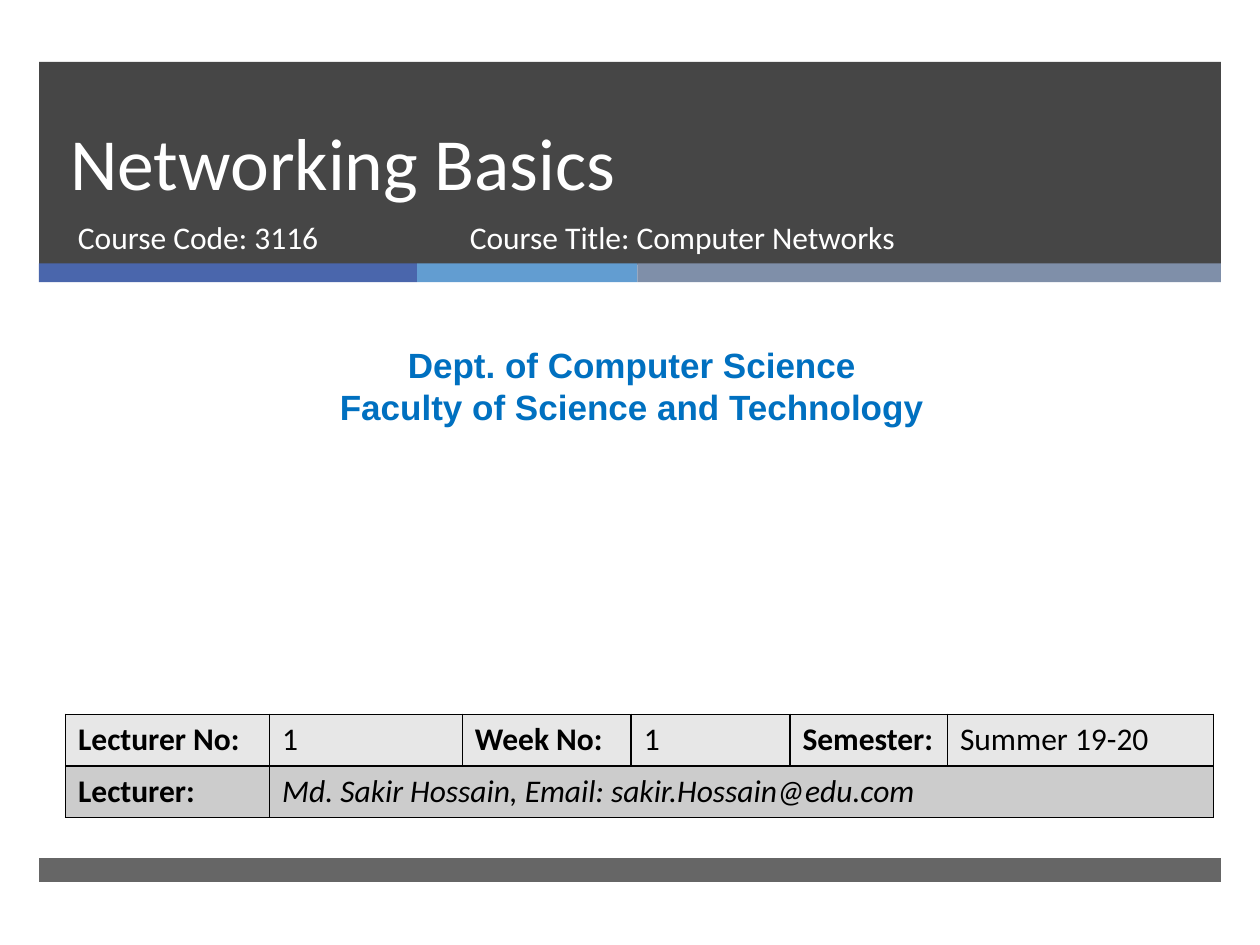
import pptx
import pptx.dml.color
import pptx.enum.shapes
import pptx.enum.text
import pptx.oxml
import pptx.oxml.ns
import pptx.util
from pptx.util import Inches

NS = pptx.oxml.ns.nsdecls("a")
ALIGN = pptx.enum.text.PP_ALIGN
ANCHOR = pptx.enum.text.MSO_ANCHOR
WHITE_TEXT = {"name": "Calibri", "size": pptx.util.Pt(18), "color": "FFFFFF"}
TITLE_TEXT = {**WHITE_TEXT, "size": pptx.util.Pt(42)}
DEPT_TEXT = {"name": "Arial", "size": pptx.util.Pt(20), "bold": True, "color": "0070C0"}
CELL_TEXT = {"name": "Calibri", "size": pptx.util.Pt(18), "color": "000000"}
LABEL_TEXT = {**CELL_TEXT, "bold": True}
LECTURER_TEXT = {**CELL_TEXT, "italic": True}


def set_color(target, color):
    """Give a fill or a font a solid colour from a hex string."""
    fill = getattr(target, "fill", target)
    fill.solid()
    fill.fore_color.rgb = pptx.dml.color.RGBColor.from_string(color)


def add_run(p, text, fmt):
    """Add a run of text with a dict of font values."""
    r = p.add_run()
    r.text = text
    for key, value in fmt.items():
        if key == "color":
            set_color(r.font, value)
        else:
            setattr(r.font, key, value)


def add_bar(s, left, top, width, height, color, opacity=100):
    """Add a plain rectangle, see-through when opacity is under 100."""
    sp = s.shapes.add_shape(pptx.enum.shapes.MSO_SHAPE.RECTANGLE, Inches(left),
                            Inches(top), Inches(width), Inches(height))
    sp.shadow.inherit = False
    sp.line.fill.background()
    set_color(sp, color)
    if opacity < 100:
        clr = sp.fill._xPr.find(".//" + pptx.oxml.ns.qn("a:srgbClr"))
        clr.append(pptx.oxml.parse_xml(f'<a:alpha {NS} val="{opacity * 1000}"/>'))


def add_text(s, box, lines, fmt, anchor=ANCHOR.TOP, **para):
    """Add a wrapped text box with one paragraph per line."""
    tf = s.shapes.add_textbox(*(Inches(v) for v in box)).text_frame
    for key, value in {"word_wrap": True, "vertical_anchor": anchor}.items():
        setattr(tf, key, value)
    for i, line in enumerate(lines):
        p = tf.add_paragraph() if i else tf.paragraphs[0]
        for key, value in para.items():
            setattr(p, key, value)
        add_run(p, line, fmt)


def add_borders(cell, color="000000", width=1):
    """Draw all four borders of a cell."""
    tc_pr = cell._tc.get_or_add_tcPr()
    for i, side in enumerate("LRTB"):
        tc_pr.insert(i, pptx.oxml.parse_xml(
            f'<a:ln{side} {NS} w="{pptx.util.Pt(width)}"><a:solidFill>'
            f'<a:srgbClr val="{color}"/></a:solidFill></a:ln{side}>'))


def add_table(s, left, top, widths, row_height, rows, fills):
    """Add a bordered table whose last short row is merged to the right edge."""
    table = s.shapes.add_table(len(rows), len(widths), Inches(left), Inches(top),
                               Inches(sum(widths)), Inches(row_height * len(rows))).table
    for col, width in zip(table.columns, widths):
        col.width = Inches(width)
    for y, (row, fill) in enumerate(zip(rows, fills)):
        table.rows[y].height = Inches(row_height)
        for x in range(len(widths)):
            cell = table.cell(y, x)
            set_color(cell, fill)
            add_borders(cell)
        for x, (text, fmt) in enumerate(row):
            add_run(table.cell(y, x).text_frame.paragraphs[0], text, fmt)
        if len(row) < len(widths):
            table.cell(y, len(row) - 1).merge(table.cell(y, len(widths) - 1))


def main():
    """Build the title slide of the lecture."""
    prs = pptx.Presentation()
    prs.slide_width, prs.slide_height = Inches(10), Inches(7.5)
    s = prs.slides.add_slide(prs.slide_layouts[6])

    add_bar(s, 0.31, 0.49, 9.38, 1.61, "262626", 85)
    left = 0.31
    for width, color in ((3, "4A66AC"), (1.75, "629DD1"), (4.63, "7F8FA9")):
        add_bar(s, left, 2.09, width, 0.15, color)
        left += width
    add_bar(s, 0.31, 6.81, 9.38, 0.19, "262626", 70)

    add_text(s, (0.46, 0.49, 8.54, 1.19), ["Networking Basics"], TITLE_TEXT,
             ANCHOR.BOTTOM, line_spacing=pptx.util.Pt(46))
    add_text(s, (0.52, 1.68, 3.05, 0.53), ["Course Code: 3116"], WHITE_TEXT)
    add_text(s, (3.63, 1.68, 4.55, 0.53), ["Course Title: Computer Networks"], WHITE_TEXT)
    add_text(s, (0.08, 2.68, 9.87, 0.77),
             ["Dept. of Computer Science", "Faculty of Science and Technology"],
             DEPT_TEXT, alignment=ALIGN.CENTER)

    rows = [
        [("Lecturer No:", LABEL_TEXT), ("1", CELL_TEXT), ("Week No:", LABEL_TEXT),
         ("1", CELL_TEXT), ("Semester:", LABEL_TEXT), ("Summer 19-20", CELL_TEXT)],
        [("Lecturer:", LABEL_TEXT),
         ("Md. Sakir Hossain, Email: sakir.Hossain@edu.com", LECTURER_TEXT)],
    ]
    add_table(s, 0.52, 5.67, (1.62, 1.53, 1.34, 1.26, 1.25, 2.11), 0.41,
              rows, ("E7E7E7", "CCCCCC"))
    prs.save("out.pptx")


if __name__ == "__main__":
    main()
